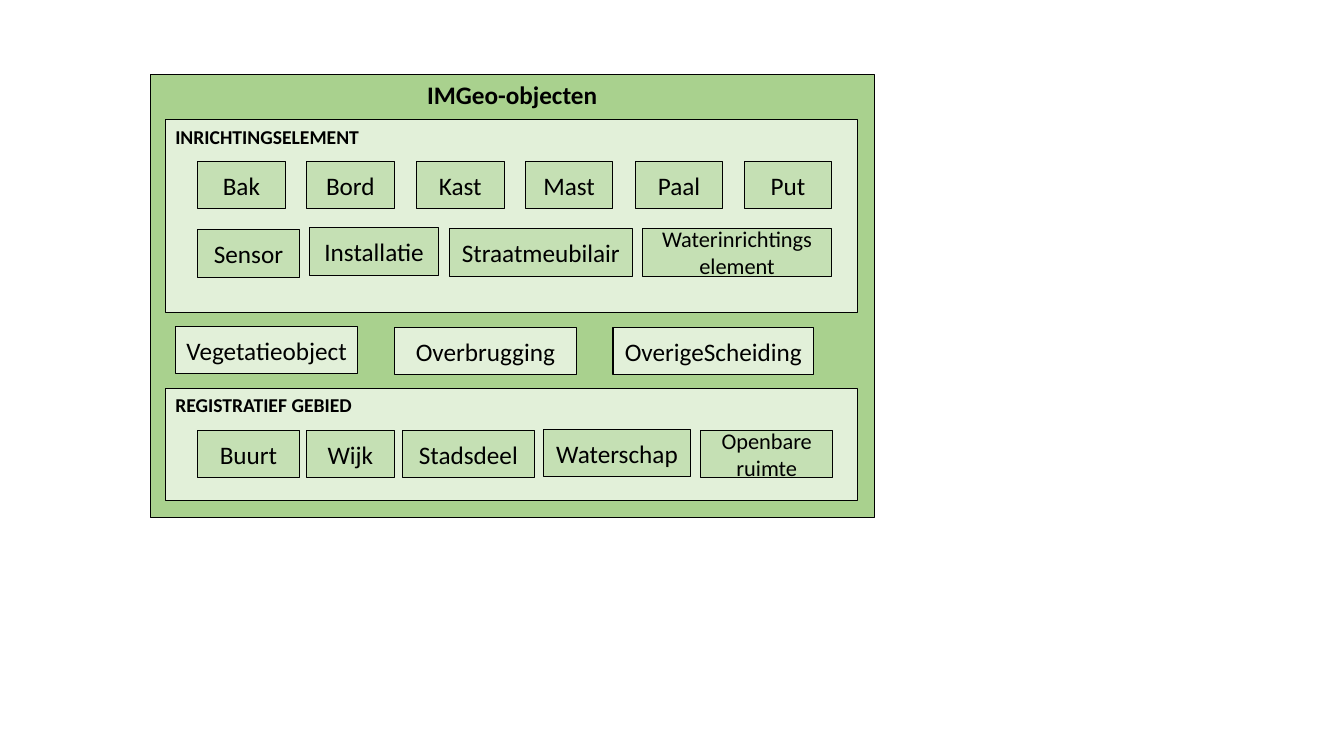
from pptx import Presentation
from pptx.dml.color import RGBColor as RGB
from pptx.enum.shapes import MSO_SHAPE as SHAPE
from pptx.enum.text import MSO_ANCHOR as ANCHOR, PP_ALIGN as ALIGN
from pptx.util import Pt

PX = 9144
BOX_H = 47
COLORS = {"frame": "A9D18E", "panel": "E2F0D9", "box": "C5E0B4", "ink": "000000"}

FIXTURES = ["Bak", "Bord", "Kast", "Mast", "Paal", "Put"]
LARGE_FIXTURES = [
    ("Sensor", 196, 228, 101, 18),
    ("Installatie", 307, 226, 128, 18),
    ("Straatmeubilair", 446, 227, 181, 18),
    ("Waterinrichtings element", 637, 227, 188, 16),
]
LOOSE_OBJECTS = [
    ("Vegetatieobject", 174, 324, 181, 18),
    ("Overbrugging", 391, 325, 181, 18),
    ("OverigeScheiding", 608, 325, 199, 18),
]
AREAS = [
    ("Buurt", 196, 427, 101, 18),
    ("Wijk", 304, 427, 87, 18),
    ("Stadsdeel", 399, 427, 131, 18),
    ("Waterschap", 539, 426, 146, 18),
    ("Openbare ruimte", 695, 427, 131, 16),
]


def add_rect(slide, text, x, y, w, h, color, size, align=ALIGN.CENTER,
             anchor=ANCHOR.MIDDLE, bold=False):
    s = slide.shapes.add_shape(SHAPE.RECTANGLE, x * PX, y * PX, w * PX, h * PX)
    s.shadow.inherit = False
    s.fill.solid()
    s.fill.fore_color.rgb = RGB.from_string(COLORS[color])
    s.line.color.rgb = RGB.from_string(COLORS["ink"])
    s.line.width = Pt(0.75)
    tf = s.text_frame
    tf.word_wrap = True
    tf.vertical_anchor = anchor
    tf.text = text
    p = tf.paragraphs[0]
    p.alignment = align
    font = p.runs[0].font
    font.name = "Calibri"
    font.size = Pt(size)
    font.bold = bold
    font.color.rgb = RGB.from_string(COLORS["ink"])


def add_panel(slide, title, y, h):
    add_rect(slide, title, 164, y, 687, h, "panel", 14, ALIGN.LEFT, ANCHOR.TOP, True)


def add_boxes(slide, boxes, color):
    for text, x, y, w, size in boxes:
        add_rect(slide, text, x, y, w, BOX_H, color, size)


def main():
    prs = Presentation()
    prs.slide_width = 1333 * PX
    prs.slide_height = 750 * PX
    slide = prs.slides.add_slide(prs.slide_layouts[6])

    add_rect(slide, "IMGeo-objecten", 149, 74, 718, 439, "frame", 18,
             anchor=ANCHOR.TOP, bold=True)
    add_panel(slide, "INRICHTINGSELEMENT", 119, 191)
    fixtures = [(name, 196 + round(i * 108.4), 160, 87, 18)
                for i, name in enumerate(FIXTURES)]
    add_boxes(slide, fixtures + LARGE_FIXTURES, "box")
    add_boxes(slide, LOOSE_OBJECTS, "panel")
    add_panel(slide, "REGISTRATIEF GEBIED", 385, 112)
    add_boxes(slide, AREAS, "box")

    prs.save("out.pptx")


if __name__ == "__main__":
    main()
